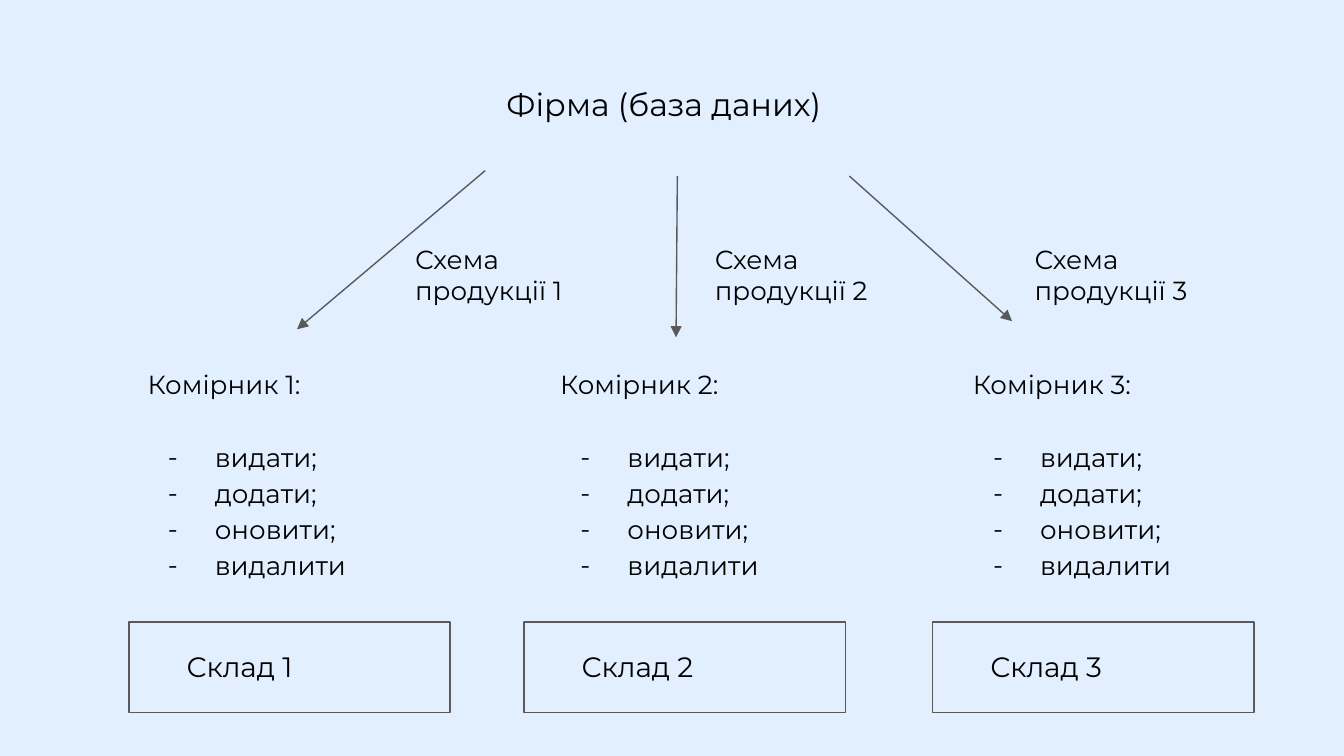
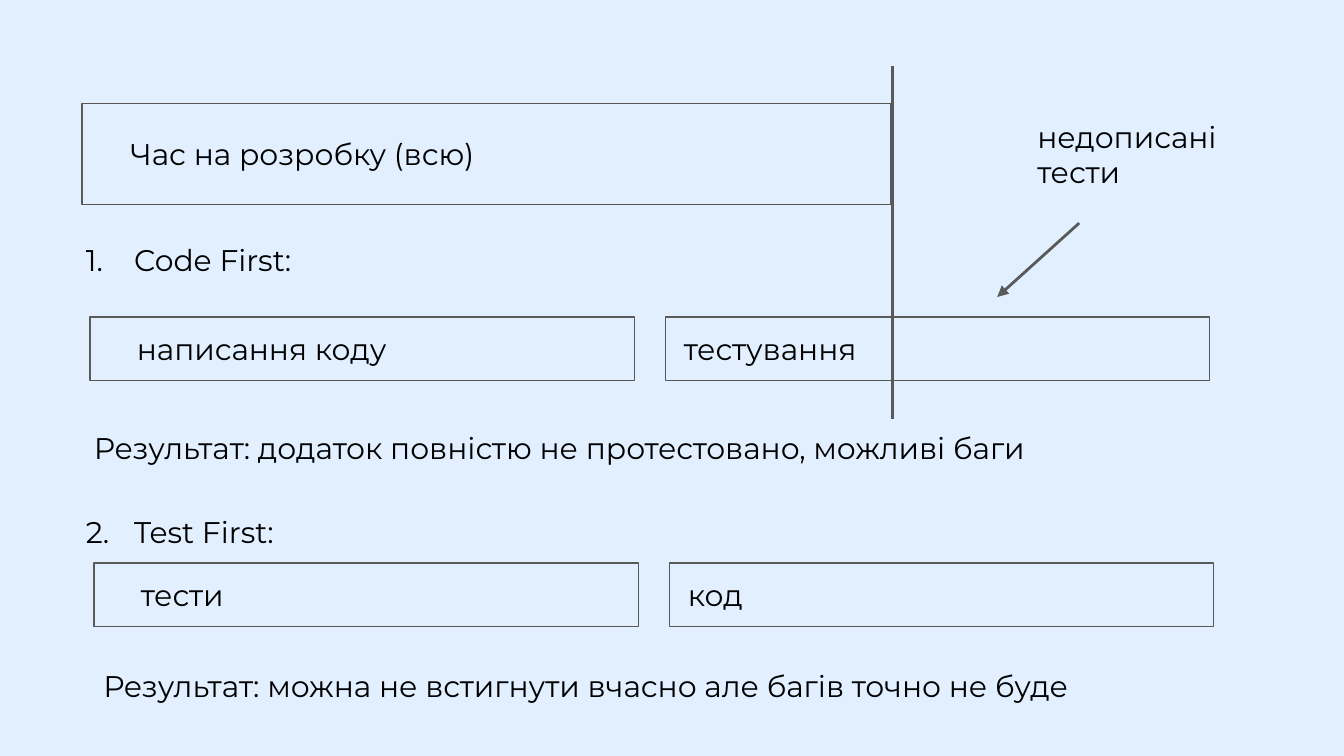
from dataclasses import dataclass

from lxml import etree
from pptx import Presentation
from pptx.dml.color import RGBColor as RGB
from pptx.enum.shapes import MSO_CONNECTOR as CONN, MSO_SHAPE as SHAPE
from pptx.enum.text import MSO_AUTO_SIZE as AUTO
from pptx.oxml.ns import qn
from pptx.util import Inches, Pt


@dataclass(frozen=True)
class Theme:
    font: str = "Montserrat"
    back: RGB = RGB(0xE1, 0xEF, 0xFF)
    ink: RGB = RGB(0, 0, 0)
    line: RGB = RGB(0x59, 0x59, 0x59)
    title: float = 17
    body: float = 16
    store: float = 15
    small: float = 14
    thin: float = 0.75
    thick: float = 1.5


T = Theme()

FIRM = "Фірма (база даних)"
ACTIONS = ["видати;", "додати;", "оновити;", "видалити"]
KEEPER_LEFT, KEEPER_STEP = 1, 3.07
BRANCHES = [
    {"arrow": (3.61, 1.27, 2.21, 2.45), "schema": 2.99, "store": 0.96},
    {"arrow": (5.04, 1.31, 5.03, 2.51), "schema": 5.22, "store": 3.9},
    {"arrow": (6.32, 1.31, 7.53, 2.39), "schema": 7.6, "store": 6.94},
]

TOTAL = "Час на розробку (всю)"
UNFINISHED = "недописані тести"
APPROACHES = [
    {"name": "Code First:", "name_at": (0.4, 1.7), "margin": 0.5,
     "numbered": True, "left": 0.67, "top": 2.36,
     "stages": ("написання коду", "тестування"),
     "result": "Результат: додаток повністю не протестовано, можливі баги",
     "result_at": (0.6, 3.1)},
    {"name": "2.\tTest First:", "name_at": (0.54, 3.72), "margin": 0.36,
     "numbered": False, "left": 0.7, "top": 4.19,
     "stages": ("тести", "код"),
     "result": "Результат: можна не встигнути вчасно але багів точно не буде",
     "result_at": (0.67, 4.87)},
]
STAGE_W, STAGE_H, STAGE_STEP = 4.05, 0.47, 4.28
STAGE_INSETS = (0.25, 0.04)


def add_slide(prs):
    s = prs.slides.add_slide(prs.slide_layouts[6])
    s.background.fill.solid()
    s.background.fill.fore_color.rgb = T.back
    return s


def add_run(p, text, size):
    r = p.add_run()
    r.text = text
    r.font.name, r.font.size = T.font, Pt(size)
    r.font.color.rgb = T.ink


def set_indent(p, margin, hang):
    pPr = p._p.get_or_add_pPr()
    pPr.set("marL", str(Inches(margin)))
    pPr.set("indent", str(Inches(-hang)))


def add_bullet(p, tag, **attrs):
    pPr = p._p.get_or_add_pPr()
    color = etree.SubElement(pPr, qn("a:buClr"))
    etree.SubElement(color, qn("a:srgbClr"), val=str(T.ink))
    etree.SubElement(pPr, qn("a:buFont"), typeface=T.font)
    etree.SubElement(pPr, qn(tag), **attrs)


def add_text(s, box, lines, size):
    tf = s.shapes.add_textbox(*map(Inches, box)).text_frame
    tf.word_wrap, tf.auto_size = True, AUTO.SHAPE_TO_FIT_TEXT
    tf.margin_left = tf.margin_right = Inches(0.1)
    tf.margin_top = tf.margin_bottom = Inches(0.1)
    for i, line in enumerate(lines):
        p = tf.add_paragraph() if i else tf.paragraphs[0]
        add_run(p, line, size)
    return tf.paragraphs


def add_frame(s, box):
    sp = s.shapes.add_shape(SHAPE.RECTANGLE, *map(Inches, box))
    sp.shadow.inherit = False
    sp.fill.background()
    sp.line.color.rgb, sp.line.width = T.line, Pt(T.thin)


def add_line(s, ends, width, arrow=True):
    cx = s.shapes.add_connector(CONN.STRAIGHT, *map(Inches, ends))
    cx.line.color.rgb, cx.line.width = T.line, Pt(width)
    if arrow:
        etree.SubElement(cx.line._get_or_add_ln(), qn("a:tailEnd"), type="triangle")
    etree.SubElement(cx._element.spPr, qn("a:effectLst"))


def build_warehouses(prs):
    s = add_slide(prs)
    add_text(s, (3.67, 0.53, 2.67, 0.49), [FIRM], T.title)
    for i, branch in enumerate(BRANCHES):
        n = i + 1
        add_line(s, branch["arrow"], T.thin)
        add_text(s, (branch["schema"], 1.71, 1.63, 0.67),
                 ["Схема", f"продукції {n}"], T.small)
        keeper = (KEEPER_LEFT + i * KEEPER_STEP, 2.61, 1.99, 1.79)
        paragraphs = add_text(s, keeper, [f"Комірник {n}:", *ACTIONS], T.small)
        for p in paragraphs[1:]:
            set_indent(p, 0.5, 0.35)
            add_bullet(p, "a:buChar", char="-")
        for p in paragraphs:
            p.line_spacing = 1.15
        paragraphs[1].space_before = Pt(19.5)
        add_frame(s, (branch["store"], 4.63, 2.39, 0.67))
        add_text(s, (branch["store"] + 0.33, 4.73, 1.4, 0.45),
                 [f"Склад {n}"], T.store)


def build_approaches(prs):
    s = add_slide(prs)
    add_frame(s, (0.61, 0.77, 6.02, 0.75))
    add_text(s, (0.87, 0.91, 7.68, 0.47), [TOTAL], T.body)
    for item in APPROACHES:
        name = add_text(s, (*item["name_at"], 2.49, 0.47), [item["name"]], T.body)[0]
        set_indent(name, item["margin"], 0.36)
        if item["numbered"]:
            add_bullet(name, "a:buAutoNum", type="arabicPeriod")
        for i, (stage, inset) in enumerate(zip(item["stages"], STAGE_INSETS)):
            left = item["left"] + i * STAGE_STEP
            add_frame(s, (left, item["top"], STAGE_W, STAGE_H))
            add_text(s, (left + inset, item["top"], 2.4, STAGE_H), [stage], T.body)
        add_text(s, (*item["result_at"], 7.68, 0.47), [item["result"]], T.body)
    add_line(s, (6.64, 0.49, 6.64, 3.12), T.thick, arrow=False)
    add_text(s, (7.62, 0.78, 2.17, 0.74), [UNFINISHED], T.body)
    add_line(s, (8.03, 1.66, 7.42, 2.21), T.thick)


def main():
    prs = Presentation()
    prs.slide_width = Inches(10)
    prs.slide_height = Inches(10) * 9 // 16
    build_warehouses(prs)
    build_approaches(prs)
    prs.save("out.pptx")


if __name__ == "__main__":
    main()
